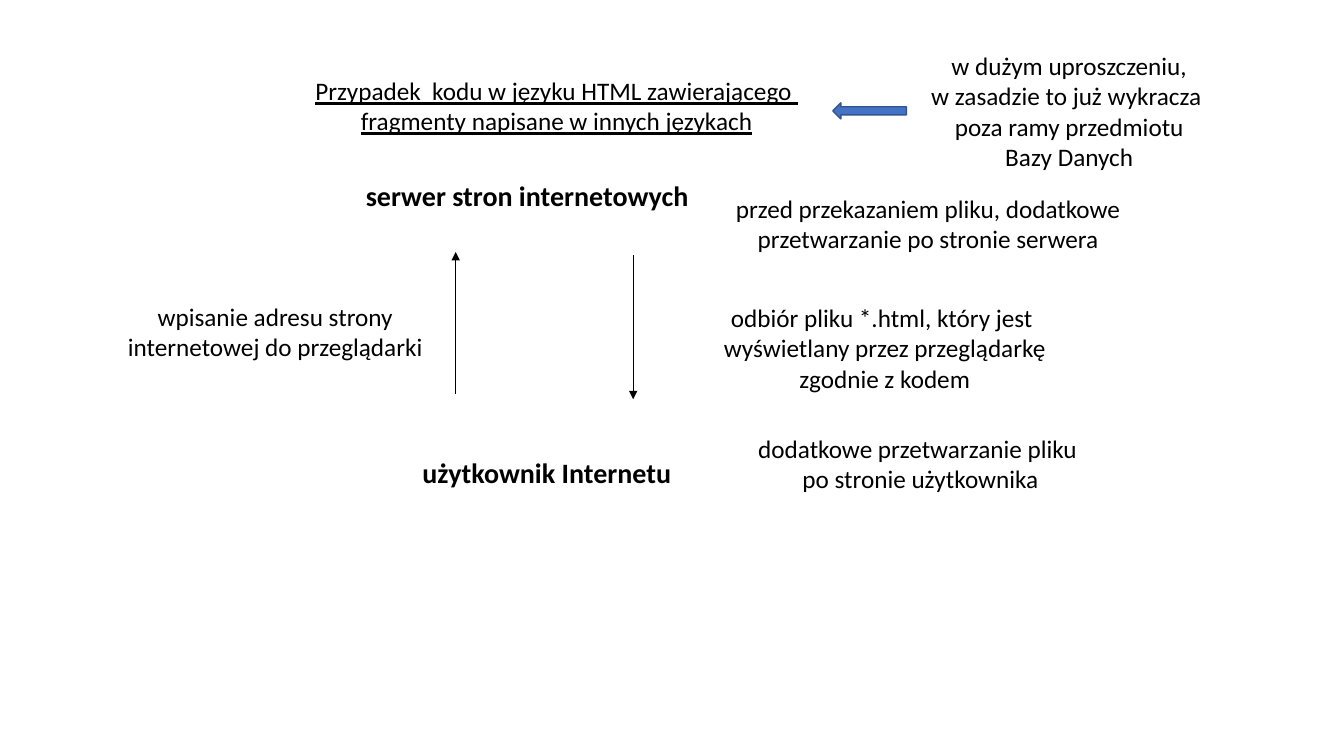
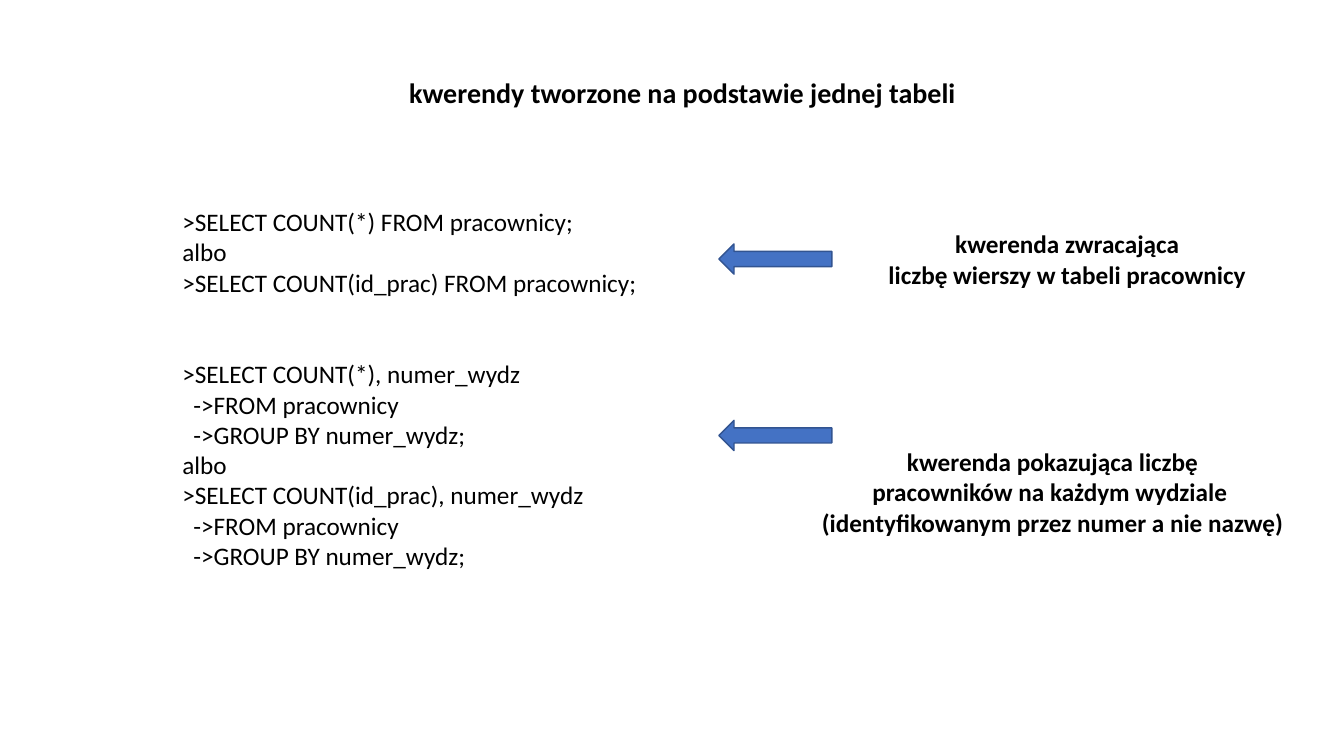
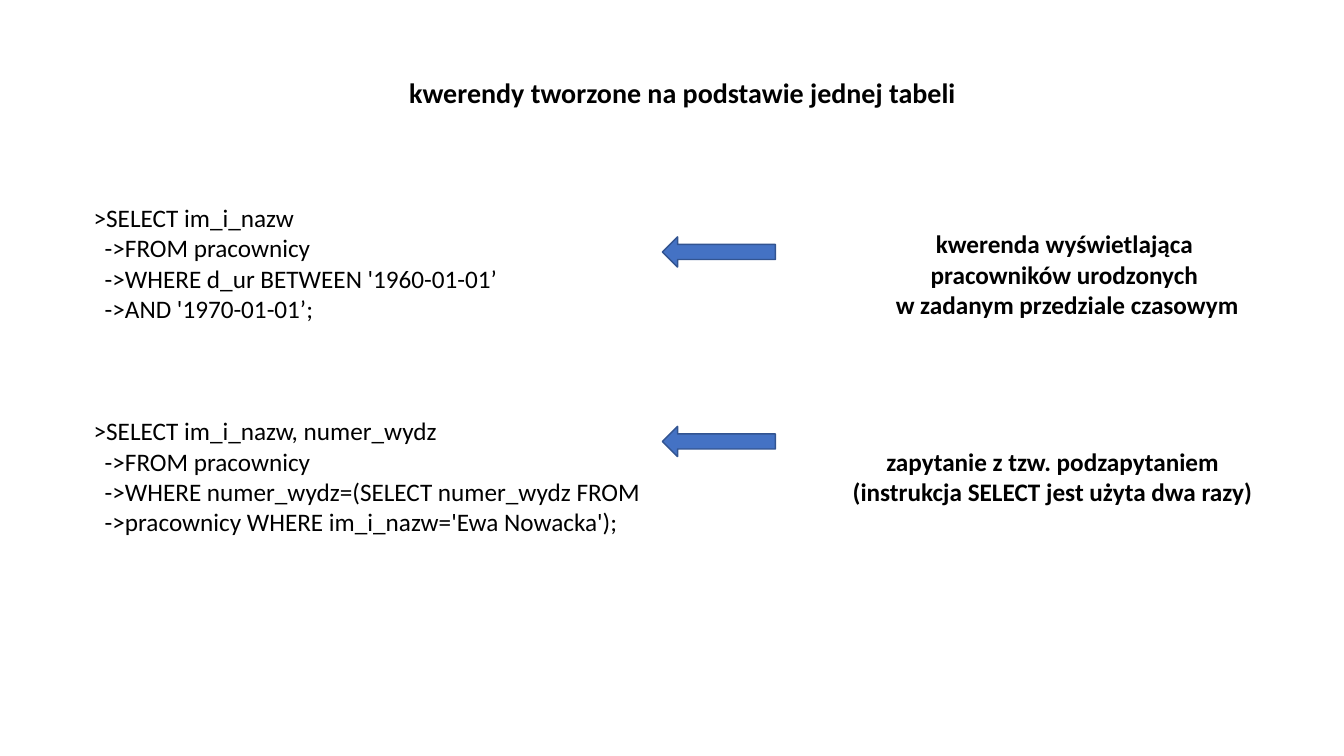
import pptx
import pptx.util
import pptx.dml.color
import pptx.enum.shapes
import pptx.enum.text
import pptx.oxml
import pptx.oxml.ns

Inches = pptx.util.Inches
Pt = pptx.util.Pt
RGBColor = pptx.dml.color.RGBColor
ALIGN = pptx.enum.text.PP_ALIGN

# Shared style
BLACK = RGBColor(0x00, 0x00, 0x00)
ARROW_FILL = RGBColor(0x44, 0x72, 0xC4)
ARROW_EDGE = RGBColor(0x32, 0x54, 0x91)
FONT = "Calibri"
BODY_SIZE, HEADING_SIZE = 18, 20
LINE_PITCH = 21.97  # points per line of body text
CONTINUATION = "->"
CONTINUATION_INDENT = 0.11
QUERY_TITLE = "kwerendy tworzone na podstawie jednej tabeli"


def add_text(slide, box, lines, size=BODY_SIZE, bold=False, underline=False,
             align=ALIGN.CENTER):
    """Place one paragraph per line in box (left, top, width, height)."""
    frame = slide.shapes.add_textbox(*map(Inches, box)).text_frame
    frame.word_wrap = False
    frame.auto_size = pptx.enum.text.MSO_AUTO_SIZE.SHAPE_TO_FIT_TEXT
    for index, line in enumerate(lines):
        paragraph = frame.add_paragraph() if index else frame.paragraphs[0]
        paragraph.text = line
        paragraph.alignment = align
        font = paragraph.font
        font.name, font.size = FONT, Pt(size)
        font.bold, font.underline = bold, underline
        font.color.rgb = BLACK
    return frame


def add_heading(slide, box, text):
    add_text(slide, box, [text], HEADING_SIZE, bold=True, align=ALIGN.LEFT)


def add_block_arrow(slide, box):
    arrow = slide.shapes.add_shape(
        pptx.enum.shapes.MSO_SHAPE.LEFT_ARROW, *map(Inches, box))
    arrow.shadow.inherit = False
    arrow.fill.solid()
    arrow.fill.fore_color.rgb = ARROW_FILL
    arrow.line.color.rgb = ARROW_EDGE
    arrow.line.width = Pt(1)


def add_vertical_arrow(slide, x, start, end):
    arrow = slide.shapes.add_connector(
        pptx.enum.shapes.MSO_CONNECTOR.STRAIGHT,
        Inches(x), Inches(start), Inches(x), Inches(end))
    arrow.line.color.rgb = BLACK
    arrow.line.width = Pt(0.5)
    tip = pptx.oxml.parse_xml(
        '<a:tailEnd %s type="triangle"/>' % pptx.oxml.ns.nsdecls("a"))
    arrow.line._get_or_add_ln().append(tip)
    arrow._element.spPr.append(pptx.oxml.parse_xml(
        "<a:effectLst %s/>" % pptx.oxml.ns.nsdecls("a")))


def add_case_header(slide, left, top):
    """Underlined topic with the remark that points at it."""
    add_text(slide, (left, top + 0.25, 5.04, 0.71),
             ["Przypadek  kodu w języku HTML zawierającego ",
              "fragmenty napisane w innych językach"], underline=True)
    add_block_arrow(slide, (left + 5.26, top + 0.57, 0.73, 0.16))
    add_text(slide, (left + 6.12, top, 2.97, 1.31),
             ["w dużym uproszczeniu,", "w zasadzie to już wykracza ",
              "poza ramy przedmiotu", "Bazy Danych"])


def add_page_exchange(slide, left, top):
    """Server above, user below, request and reply between them."""
    add_heading(slide, (left + 2.38, top, 3.43, 0.44),
                "serwer stron internetowych")
    add_heading(slide, (left + 2.94, top + 2.75, 2.76, 0.44),
                "użytkownik Internetu")
    add_vertical_arrow(slide, left + 3.37, top + 2.19, top + 0.78)
    add_vertical_arrow(slide, left + 5.13, top + 0.81, top + 2.24)

    notes = [
        ((0, 1.22, 3.16, 0.71),
         ["wpisanie adresu strony", "internetowej do przeglądarki"]),
        ((6.03, 0.15, 4.05, 0.71),
         ["przed przekazaniem pliku, dodatkowe",
          "przetwarzanie po stronie serwera"]),
        ((5.91, 1.23, 3.43, 1.01),
         ["odbiór pliku *.html, który jest ",
          "wyświetlany przez przeglądarkę", "zgodnie z kodem"]),
        ((6.25, 2.53, 3.46, 0.71),
         ["dodatkowe przetwarzanie pliku ", "po stronie użytkownika"]),
    ]
    for (x, y, width, height), lines in notes:
        add_text(slide, (left + x, top + y, width, height), lines)


def add_code(slide, box, queries, gap_lines):
    """Stack the queries, with gap_lines of space between them."""
    lines = [line for query in queries for line in query]
    frame = add_text(slide, box, lines, align=ALIGN.LEFT)
    for paragraph in frame.paragraphs:
        if paragraph.text.startswith(CONTINUATION):
            properties = paragraph._p.get_or_add_pPr()
            properties.set("marL", str(Inches(CONTINUATION_INDENT)))
            properties.set("indent", "0")
    start = 0
    for query in queries[:-1]:
        start += len(query)
        frame.paragraphs[start].space_before = Pt(
            round(gap_lines * LINE_PITCH, 1))


def add_query_slide(slide, code_box, queries, gap_lines, arrow_offset,
                    arrow_tops, remarks):
    """Title, code on the left, arrows and remarks on the right."""
    add_heading(slide, (3.96, 0.7, 5.67, 0.44), QUERY_TITLE)
    add_code(slide, code_box, queries, gap_lines)
    left, top = code_box[:2]
    for arrow_top in arrow_tops:
        add_block_arrow(
            slide, (left + arrow_offset, top + arrow_top, 1.12, 0.3))
    for box, lines in remarks:
        add_text(slide, box, lines, bold=True)


def main():
    deck = pptx.Presentation()
    deck.slide_width, deck.slide_height = Inches(13.33), Inches(7.5)
    exchange, counting, selecting = (
        deck.slides.add_slide(deck.slide_layouts[6]) for _ in range(3))

    # Server and user
    add_case_header(exchange, 3, 0.45)
    add_page_exchange(exchange, 1.15, 1.72)

    # Counting queries
    grouping = ["->FROM pracownicy", "->GROUP BY numer_wydz;"]
    add_query_slide(
        counting, (1.71, 2, 4.75, 4.34),
        [[">SELECT COUNT(*) FROM pracownicy;", "albo",
          ">SELECT COUNT(id_prac) FROM pracownicy;"],
         [">SELECT COUNT(*), numer_wydz", *grouping, "albo",
          ">SELECT COUNT(id_prac), numer_wydz", *grouping]],
        gap_lines=2, arrow_offset=5.42, arrow_tops=(0.42, 2.17),
        remarks=[
            ((8.67, 2.22, 3.83, 0.71),
             ["kwerenda zwracająca", "liczbę wierszy w tabeli pracownicy"]),
            ((8.03, 4.38, 4.82, 1.31),
             ["kwerenda pokazująca liczbę", "pracowników na każdym wydziale ",
              "(identyfikowanym przez numer a nie nazwę)"]),
        ])

    # Selecting queries
    add_query_slide(
        selecting, (0.83, 1.96, 5.69, 4.04),
        [[">SELECT im_i_nazw", "->FROM pracownicy",
          "->WHERE d_ur BETWEEN '1960-01-01’", "->AND '1970-01-01’;"],
         [">SELECT im_i_nazw, numer_wydz", "->FROM pracownicy",
          "->WHERE numer_wydz=(SELECT numer_wydz FROM",
          "->pracownicy WHERE im_i_nazw='Ewa Nowacka');"]],
        gap_lines=3, arrow_offset=5.74, arrow_tops=(0.39, 2.27),
        remarks=[
            ((8.77, 2.22, 3.63, 1.01),
             ["kwerenda wyświetlająca ", "pracowników urodzonych ",
              "w zadanym przedziale czasowym"]),
            ((8.34, 4.38, 4.2, 0.71),
             ["zapytanie z tzw. podzapytaniem",
              "(instrukcja SELECT jest użyta dwa razy)"]),
        ])

    deck.save("out.pptx")


if __name__ == "__main__":
    main()
